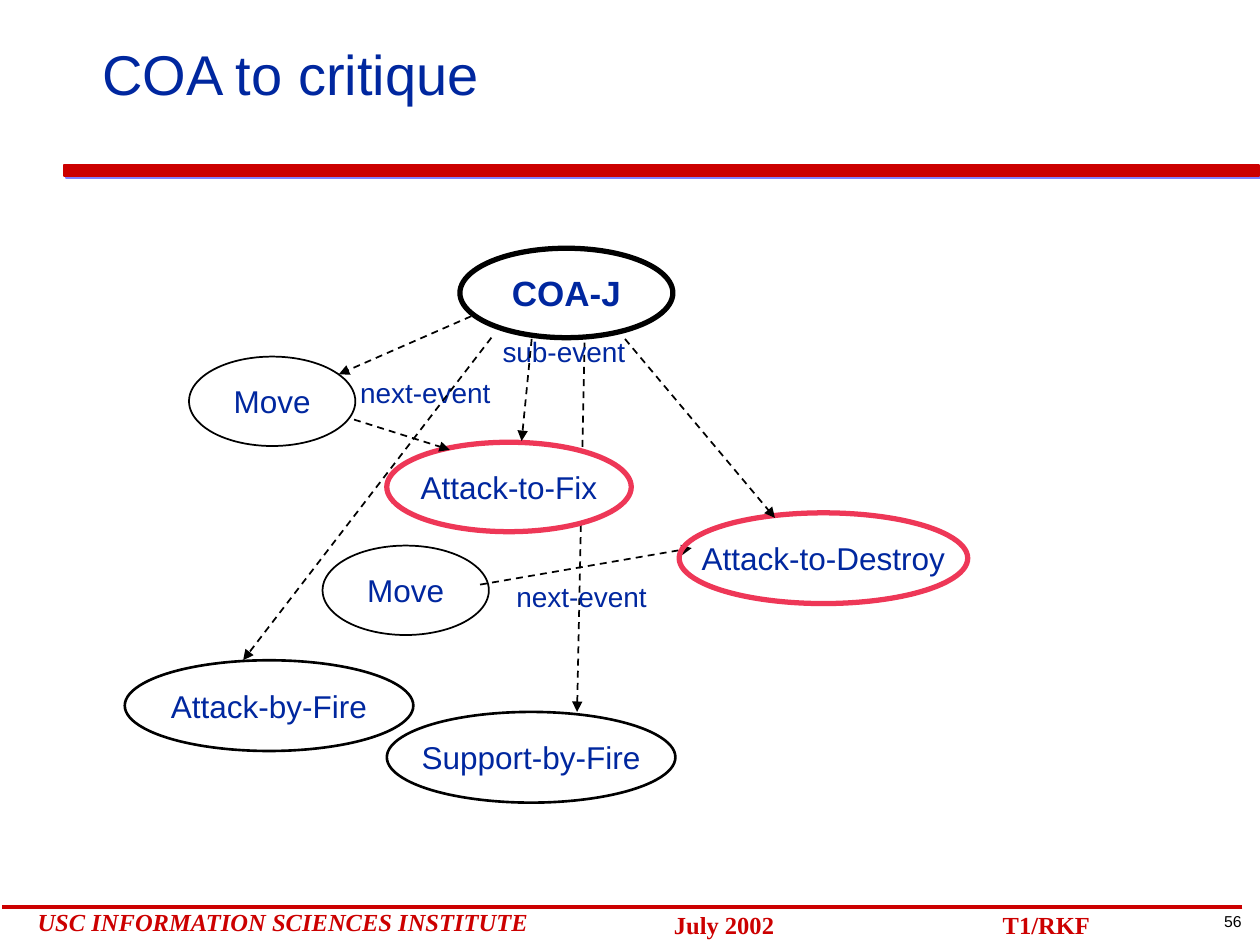
from lxml import etree
from pptx import Presentation, util as u
from pptx.dml.color import RGBColor
from pptx.enum import dml, shapes, text
from pptx.oxml import parse_xml
from pptx.oxml.ns import nsdecls, qn

PX = 9144  # EMU in one px, 100 px to the inch

BLACK = RGBColor(0x00, 0x00, 0x00)
WHITE = RGBColor(0xFF, 0xFF, 0xFF)
RED = RGBColor(0xCC, 0x00, 0x00)
PINK = RGBColor(0xEE, 0x37, 0x57)
NAVY = RGBColor(0x00, 0x27, 0x9F)

BODY_FONT = {"name": "Arial", "size": u.Pt(18), "bold": False}
LABEL_FONT = {**BODY_FONT, "size": u.Pt(16)}
ROOT_FONT = {**BODY_FONT, "size": u.Pt(20), "bold": True}
TITLE_FONT = {**BODY_FONT, "size": u.Pt(32)}
NUMBER_FONT = {**BODY_FONT, "size": u.Pt(9)}
FOOTER_FONT = {"name": "Times New Roman", "size": u.Pt(14), "bold": True}

# Label, place in the diagram, line colour, line width, fill, font
NODES = [
    ("COA-J", (266, 0, 169, 71), BLACK, 3, None, ROOT_FONT),
    ("Attack-to-Fix", (208, 154, 194, 71), PINK, 3, WHITE, BODY_FONT),
    ("Attack-to-Destroy", (440, 210, 229, 72), PINK, 3, None, BODY_FONT),
    ("Move", (51, 86, 132, 71), BLACK, 1, None, BODY_FONT),
    ("Move", (157, 236, 132, 71), BLACK, 1, None, BODY_FONT),
    ("Attack-by-Fire", (0, 327, 229, 72), BLACK, 1.5, None, BODY_FONT),
    ("Support-by-Fire", (208, 368, 229, 72), BLACK, 1.5, None, BODY_FONT),
]
ARROWS_BEHIND = [
    ((365, 75), (359, 368)),   # COA-J to Support-by-Fire
    ((282, 267), (450, 238)),  # Move to Attack-to-Destroy
]
ARROWS_IN_FRONT = [
    ((182, 136), (258, 160)),  # Move to Attack-to-Fix
    ((323, 72), (315, 153)),   # COA-J to Attack-to-Fix
    ((397, 72), (516, 214)),   # COA-J to Attack-to-Destroy
    ((275, 54), (170, 100)),   # COA-J to Move
    ((291, 71), (94, 327)),    # COA-J to Attack-by-Fire
]
EDGE_LABELS = [
    ("next-event", (177, 96, 124, 37)),
    ("sub-event", (290, 64, 157, 37)),
    ("next-event", (301, 258, 124, 37)),
]


def emu(lengths):
    return [u.Emu(length * PX) for length in lengths]


def within(box, place):
    """Shift a place or a point by the top left corner of the box."""
    return (box[0] + place[0], box[1] + place[1], *place[2:])


def write(shape, wording, font, color, align=text.PP_ALIGN.LEFT,
          anchor=text.MSO_ANCHOR.TOP, wrap=True):
    frame = shape.text_frame
    frame.text = wording
    settings = {"word_wrap": wrap, "vertical_anchor": anchor,
                "auto_size": text.MSO_AUTO_SIZE.NONE}
    for name, value in settings.items():
        setattr(frame, name, value)
    paragraph = frame.paragraphs[0]
    paragraph.alignment = align
    run_font = paragraph.runs[0].font
    for name, value in font.items():
        setattr(run_font, name, value)
    run_font.color.rgb = color


def add_label(slide, place, wording, font, color, **layout):
    write(slide.shapes.add_textbox(*emu(place)), wording, font, color, **layout)


def add_rule(slide, start, end, color, width):
    rule = slide.shapes.add_connector(
        shapes.MSO_CONNECTOR.STRAIGHT, *emu((*start, *end)))
    rule.line.color.rgb = color
    rule.line.width = u.Pt(width)
    etree.SubElement(rule._element.spPr, qn("a:effectLst"))
    return rule


def add_arrow(slide, start, end):
    arrow = add_rule(slide, start, end, BLACK, 1)
    arrow.line.dash_style = dml.MSO_LINE.DASH
    etree.SubElement(arrow.line._get_or_add_ln(), qn("a:tailEnd"), type="triangle")


def add_node(slide, place, wording, color, width, fill, font):
    node = slide.shapes.add_shape(shapes.MSO_SHAPE.OVAL, *emu(place))
    node.shadow.inherit = False
    if fill is None:
        node.fill.background()
    else:
        node.fill.solid()
        node.fill.fore_color.rgb = fill
    node.line.color.rgb = color
    node.line.width = u.Pt(width)
    write(node, wording, font, NAVY, align=text.PP_ALIGN.CENTER,
          anchor=text.MSO_ANCHOR.MIDDLE, wrap=False)


def add_title_bar(slide, box):
    bar = slide.shapes.add_shape(shapes.MSO_SHAPE.RECTANGLE, *emu(box))
    bar.fill.solid()
    bar.fill.fore_color.rgb = RED
    bar.line.color.rgb = RED
    bar.line.width = u.Pt(1)
    bar._element.spPr.append(parse_xml(
        f'<a:effectLst {nsdecls("a")}>'
        '<a:outerShdw dist="17780" dir="2700000" algn="ctr" rotWithShape="0">'
        '<a:srgbClr val="8080FF"/></a:outerShdw></a:effectLst>'))


def add_title(slide, box, wording):
    title = slide.shapes.title
    for name, value in zip(("left", "top", "width", "height"), emu(box)):
        setattr(title, name, value)
    write(title, wording, TITLE_FONT, NAVY, anchor=text.MSO_ANCHOR.BOTTOM)


def add_footer(slide, box):
    left, top, width, _ = box
    add_rule(slide, (left + width, top), (left, top), RED, 2)
    add_label(slide, within(box, (938, -1, 77, 25)), "56", NUMBER_FONT, BLACK,
              align=text.PP_ALIGN.CENTER, wrap=False)
    add_label(slide, within(box, (18, -5, 436, 33)),
              "USC INFORMATION SCIENCES INSTITUTE",
              {**FOOTER_FONT, "italic": True}, RED)
    for wording, offset in (("July 2002", 523), ("T1/RKF", 784)):
        add_label(slide, within(box, (offset, -3, 164, 33)), wording,
                  FOOTER_FONT, RED)


def add_event_diagram(slide, box):
    for start, end in ARROWS_BEHIND:
        add_arrow(slide, within(box, start), within(box, end))
    for wording, place, *look in NODES:
        add_node(slide, within(box, place), wording, *look)
    for wording, place in EDGE_LABELS:
        add_label(slide, within(box, place), wording, LABEL_FONT, NAVY)
    for start, end in ARROWS_IN_FRONT:
        add_arrow(slide, within(box, start), within(box, end))


def main():
    deck = Presentation()
    deck.slide_width, deck.slide_height = emu((1000, 750))
    slide = deck.slides.add_slide(deck.slide_layouts[5])
    add_title_bar(slide, (51, 131, 948, 9))
    add_footer(slide, (2, 720, 984, 30))
    add_title(slide, (71, 31, 848, 59), "COA to critique")
    add_event_diagram(slide, (99, 197, 669, 440))
    deck.save("out.pptx")


if __name__ == "__main__":
    main()
